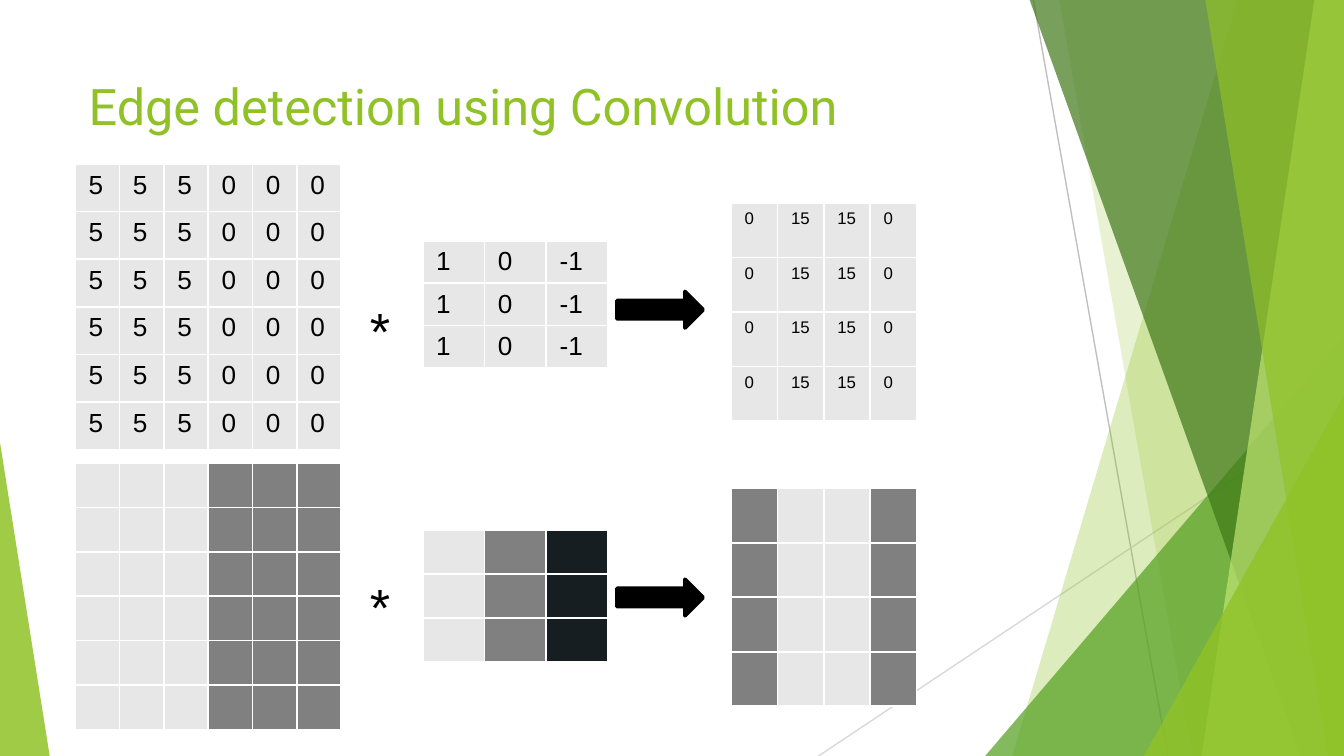
from lxml import etree
from pptx import Presentation
from pptx import util as u
from pptx.dml.color import RGBColor
from pptx.enum import shapes, text
from pptx.oxml import ns

WIDTH, HEIGHT = 25.4, 14.29
BLACK = RGBColor(0x00, 0x00, 0x00)
LIGHT = RGBColor(0xE7, 0xE7, 0xE7)
GREY = RGBColor(0x80, 0x80, 0x80)
DARK = RGBColor(0x16, 0x1E, 0x22)
LIME = RGBColor(0x90, 0xC2, 0x26)
GREEN = RGBColor(0x54, 0xA0, 0x21)
FOREST = RGBColor(0x3F, 0x78, 0x18)
PALE = RGBColor(0xBF, 0xE4, 0x71)
SILVER = RGBColor(0xBF, 0xBF, 0xBF)
MIST = RGBColor(0xD8, 0xD8, 0xD8)


def set_glass(shape, color, opacity):
    """Fill a shape with a see-through colour, opacity in percent, and no outline."""
    shape.shadow.inherit = False
    shape.line.fill.background()
    shape.fill.solid()
    shape.fill.fore_color.rgb = color
    tint = shape._element.spPr.find(ns.qn("a:solidFill"))[0]
    etree.SubElement(tint, ns.qn("a:alpha"), val=str(opacity * 1000))


def add_ray(page, start, end, color):
    ray = page.shapes.add_connector(
        shapes.MSO_CONNECTOR.STRAIGHT, *map(u.Cm, (*start, *end)))
    ray.line.color.rgb = color
    ray.line.width = u.Pt(0.75)
    etree.SubElement(ray._element.spPr, ns.qn("a:effectLst"))


def add_band(page, top_x, bottom_x, color, opacity):
    """Add a full-height band from a slanted left edge to the slide's right edge."""
    builder = page.shapes.build_freeform(u.Cm(top_x), 0)
    corners = [(WIDTH, 0), (WIDTH, HEIGHT), (bottom_x, HEIGHT)]
    builder.add_line_segments([(u.Cm(x), u.Cm(y)) for x, y in corners])
    set_glass(builder.convert_to_shape(), color, opacity)


def add_wedge(page, left, top, width, apex, color, opacity):
    """Add a triangle that stands on the slide's bottom edge."""
    wedge = page.shapes.add_shape(
        shapes.MSO_SHAPE.ISOSCELES_TRIANGLE,
        *map(u.Cm, (left, top, width, HEIGHT - top)))
    wedge.adjustments[0] = apex
    set_glass(wedge, color, opacity)


def add_backdrop(page):
    add_ray(page, (19.53, 0), (22.07, HEIGHT), SILVER)
    add_ray(page, (WIDTH, 7.67), (15.47, HEIGHT), MIST)
    add_band(page, 23.39, 19.13, LIME, 30)
    add_band(page, 20.02, 22.53, LIME, 20)
    add_wedge(page, 18.62, 6.35, 6.78, 1, GREEN, 72)
    add_band(page, 19.46, 24.59, FOREST, 70)
    add_band(page, 24.84, 22.71, PALE, 70)
    add_band(page, 22.78, 25.1, LIME, 65)
    add_wedge(page, 21.62, 7.47, 3.78, 1, LIME, 80)
    add_wedge(page, 0, 8.36, 0.94, 0, LIME, 85)


def add_title(page, left, top, width, height):
    title = page.shapes.title
    title.left, title.top, title.width, title.height = map(
        u.Cm, (left, top, width, height))
    frame = title.text_frame
    frame.text = "Edge detection using Convolution"
    frame.vertical_anchor = text.MSO_ANCHOR.MIDDLE
    para = frame.paragraphs[0]
    para.alignment = text.PP_ALIGN.LEFT
    para.font.name = "Roboto"
    para.font.size = u.Pt(27)
    para.font.color.rgb = LIME


def set_body_font(para, size):
    para.font.name = "Arial"
    para.font.size = u.Pt(size)
    para.font.color.rgb = BLACK


def add_white_borders(cell):
    properties = cell._tc.get_or_add_tcPr()
    for side in ("lnL", "lnR", "lnT", "lnB"):
        border = etree.SubElement(properties, ns.qn(f"a:{side}"), w=str(u.Pt(1)))
        fill = etree.SubElement(border, ns.qn("a:solidFill"))
        etree.SubElement(fill, ns.qn("a:srgbClr"), val="FFFFFF")


def add_matrix(page, left, top, width, row_height, pattern, size):
    """Add a square matrix whose rows all repeat one pattern of numbers or colours."""
    count = len(pattern)
    table = page.shapes.add_table(
        count, count, *map(u.Cm, (left, top, width, row_height * count))).table
    for row in table.rows:
        row.height = u.Cm(row_height)
    for column, entry in enumerate(pattern):
        table.columns[column].width = u.Cm(width / count)
        is_color = isinstance(entry, RGBColor)
        for row in range(count):
            cell = table.cell(row, column)
            add_white_borders(cell)
            cell.fill.solid()
            cell.fill.fore_color.rgb = entry if is_color else LIGHT
            cell.margin_top = cell.margin_bottom = u.Cm(0 if is_color else 0.12)
            if not is_color:
                cell.text = str(entry)
            set_body_font(cell.text_frame.paragraphs[0], size)


def add_star(page, left, top):
    box = page.shapes.add_textbox(*map(u.Cm, (left, top, 1.24, 1.45)))
    box.text_frame.word_wrap = True
    para = box.text_frame.paragraphs[0]
    para.text = "*"
    set_body_font(para, 28)


def add_arrow(page, left, top):
    arrow = page.shapes.add_shape(
        shapes.MSO_SHAPE.RIGHT_ARROW, *map(u.Cm, (left, top, 1.63, 0.69)))
    arrow.shadow.inherit = False
    arrow.fill.solid()
    arrow.fill.fore_color.rgb = BLACK
    arrow.line.color.rgb = BLACK
    arrow.line.width = u.Pt(2)


def add_convolution(page, left, top, patterns, row_heights, drops):
    """Place image * kernel -> result; drops are the parts' distances below top."""
    image_drop, star_drop, kernel_drop, arrow_drop, result_drop = drops
    places = [(0, image_drop, 5.03, 14), (6.57, kernel_drop, 3.5, 14),
              (12.4, result_drop, 3.5, 9)]
    for (shift, drop, width, size), pattern, height in zip(
            places, patterns, row_heights):
        add_matrix(page, left + shift, top + drop, width, height, pattern, size)
    add_star(page, left + 5.32, top + star_drop)
    add_arrow(page, left + 10.24, top + arrow_drop)


def main():
    deck = Presentation()
    deck.slide_width, deck.slide_height = u.Cm(WIDTH), u.Cm(HEIGHT)
    page = deck.slides.add_slide(deck.slide_layouts.get_by_name("Title Only"))
    add_backdrop(page)
    add_title(page, 1.42, 1.27, 17.37, 1.45)
    numbers = [(5, 5, 5, 0, 0, 0), (1, 0, -1), (0, 15, 15, 0)]
    shades = [(LIGHT,) * 3 + (GREY,) * 3, (LIGHT, GREY, DARK),
              (GREY, LIGHT, LIGHT, GREY)]
    add_convolution(page, 1.42, 3.1, numbers, (0.9, 0.8, 1.03),
                    (0, 2.41, 1.45, 2.41, 0.74))
    add_convolution(page, 1.42, 8.75, shades, (0.84, 0.83, 1.03),
                    (0, 1.98, 1.27, 2.2, 0.48))
    deck.save("out.pptx")


if __name__ == "__main__":
    main()
